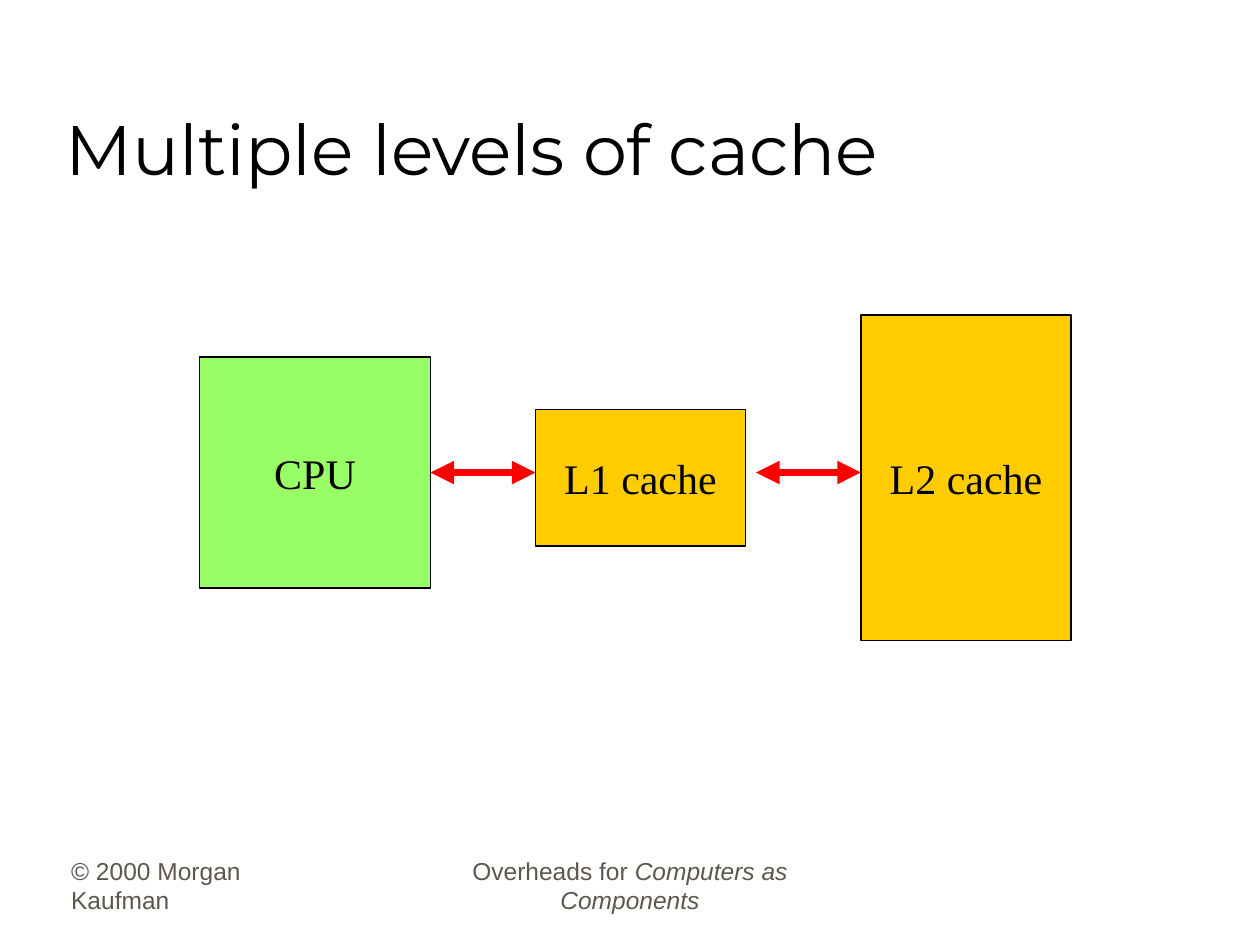
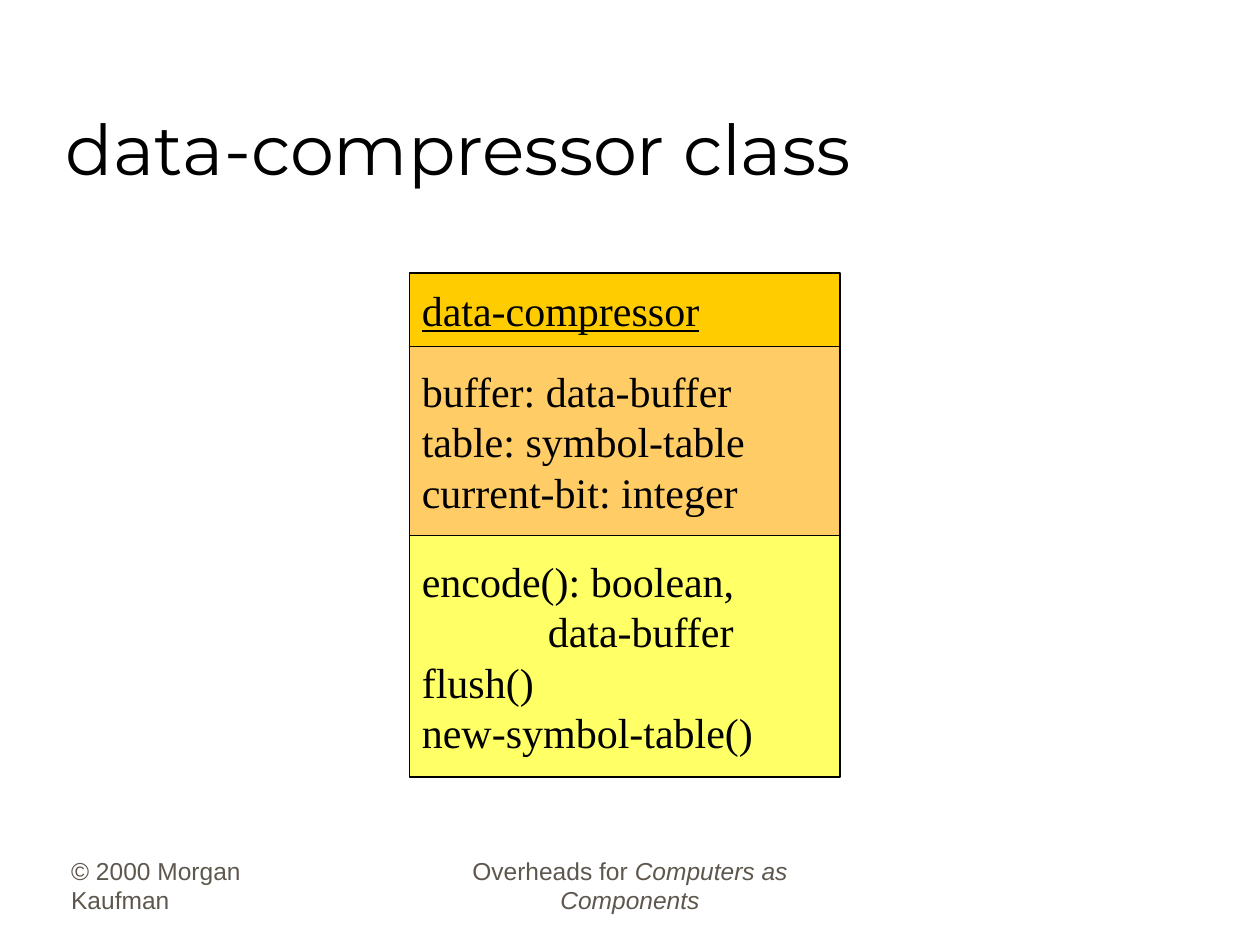
import pptx
import pptx.util
import pptx.dml.color
import pptx.enum.shapes
import pptx.enum.text
import pptx.oxml.ns
import lxml.etree

RGBColor = pptx.dml.color.RGBColor
BLACK = RGBColor(0x00, 0x00, 0x00)
FOOTER_GRAY = RGBColor(0x5E, 0x57, 0x4E)
GREEN = RGBColor(0x99, 0xFF, 0x66)
GOLD = RGBColor(0xFF, 0xCC, 0x00)
ORANGE = RGBColor(0xFF, 0xCC, 0x66)
YELLOW = RGBColor(0xFF, 0xFF, 0x66)
RED = RGBColor(0xFF, 0x00, 0x00)

LEFT = pptx.enum.text.PP_ALIGN.LEFT
CENTER = pptx.enum.text.PP_ALIGN.CENTER
BOTTOM = pptx.enum.text.MSO_ANCHOR.BOTTOM
MIDDLE = pptx.enum.text.MSO_ANCHOR.MIDDLE

SLIDE_WIDTH = pptx.util.Inches(10)
SLIDE_HEIGHT = pptx.util.Inches(7.5)
COLUMNS, ROWS = 120, 90

TITLE_AREA = (5.3, 3, 102, 15)
COPYRIGHT_AREA = (5.6, 81.7, 25, 6)
SOURCE_AREA = (41, 81.7, 38, 6)
DIAGRAM_AREA = (19, 30, 83, 31)
CLASS_AREA = (39, 26, 41, 48)


def grid(*cells):
    units = (SLIDE_WIDTH / COLUMNS, SLIDE_HEIGHT / ROWS)
    return [round(cell * units[index % 2]) for index, cell in enumerate(cells)]


def style_font(font, name, size, color):
    font.name = name
    font.size = pptx.util.Pt(size)
    font.color.rgb = color


def add_tab_stop(para, inches):
    tabs = lxml.etree.SubElement(para._p.get_or_add_pPr(), pptx.oxml.ns.qn("a:tabLst"))
    position = str(pptx.util.Inches(inches))
    lxml.etree.SubElement(tabs, pptx.oxml.ns.qn("a:tab"), pos=position, algn="l")


def add_label(page, area, parts, font_name, size, color, align=LEFT):
    box = page.shapes.add_textbox(*grid(*area))
    frame = box.text_frame
    frame.word_wrap = True
    frame.vertical_anchor = BOTTOM
    para = frame.paragraphs[0]
    para.alignment = align
    for text, italic in parts:
        span = para.add_run()
        span.text = text
        span.font.italic = italic
        style_font(span.font, font_name, size, color)
    return box


def add_block(page, area, lines, fill, align=CENTER, underline=False):
    box = page.shapes.add_shape(pptx.enum.shapes.MSO_SHAPE.RECTANGLE, *grid(*area))
    box.shadow.inherit = False
    box.fill.solid()
    box.fill.fore_color.rgb = fill
    box.line.color.rgb = BLACK
    box.line.width = pptx.util.Pt(0.75)
    frame = box.text_frame
    frame.word_wrap = True
    frame.vertical_anchor = MIDDLE
    frame.text = "\n".join(lines)
    for para in frame.paragraphs:
        para.alignment = align
        if para.text.startswith("\t"):
            add_tab_stop(para, 1)
        for span in para.runs:
            style_font(span.font, "Times New Roman", 24, BLACK)
            span.font.underline = underline
    return box


def add_double_arrow(page, start, end, row):
    kind = pptx.enum.shapes.MSO_CONNECTOR.STRAIGHT
    arrow = page.shapes.add_connector(kind, *grid(start, row, end, row))
    arrow.line.color.rgb = RED
    arrow.line.width = pptx.util.Pt(4.5)
    line = arrow.line._get_or_add_ln()
    for tag in ("a:headEnd", "a:tailEnd"):
        lxml.etree.SubElement(line, pptx.oxml.ns.qn(tag), type="triangle")
    lxml.etree.SubElement(arrow._element.spPr, pptx.oxml.ns.qn("a:effectLst"))
    return arrow


def add_page(deck, title):
    page = deck.slides.add_slide(deck.slide_layouts[6])
    add_label(page, COPYRIGHT_AREA, [("© 2000 Morgan Kaufman", False)],
              "Arial", 14, FOOTER_GRAY)
    add_label(page, SOURCE_AREA,
              [("Overheads for ", False), ("Computers as Components", True)],
              "Arial", 14, FOOTER_GRAY, CENTER)
    heading = add_label(page, TITLE_AREA, [(title, False)], "Montserrat", 40, BLACK)
    heading.text_frame.margin_left = pptx.util.Inches(0.08)
    heading.text_frame.margin_bottom = 0
    return page


def draw_cache_levels(page, area):
    left, top, width, height = area
    cache_width, gap = 20, 10
    cpu_size = 22
    arrow_row = top + 15
    l1_left = left + cpu_size + gap
    l2_left = left + width - cache_width
    cpu = add_block(page, (left, top + 4, cpu_size, cpu_size), ["CPU"], GREEN)
    add_block(page, (l1_left, top + 9, cache_width, 13), ["L1 cache"], GOLD)
    add_block(page, (l2_left, top, cache_width, height), ["L2 cache"], GOLD)
    cpu_arrow = add_double_arrow(page, l1_left - gap, l1_left, arrow_row)
    cpu_arrow.begin_connect(cpu, 3)
    add_double_arrow(page, l2_left - gap, l2_left, arrow_row)


def draw_class(page, area, compartments):
    left, top, width, height = area
    total = sum(rows for rows, *rest in compartments)
    for rows, fill, underline, lines in compartments:
        block_height = height * rows / total
        add_block(page, (left, top, width, block_height), lines, fill, LEFT, underline)
        top += block_height


def main():
    deck = pptx.Presentation()
    deck.slide_width = SLIDE_WIDTH
    deck.slide_height = SLIDE_HEIGHT
    draw_cache_levels(add_page(deck, "Multiple levels of cache"), DIAGRAM_AREA)
    draw_class(add_page(deck, "data-compressor class"), CLASS_AREA, [
        (7, GOLD, True, ["data-compressor"]),
        (18, ORANGE, False, ["buffer: data-buffer", "table: symbol-table",
                             "current-bit: integer"]),
        (23, YELLOW, False, ["encode(): boolean,", "\tdata-buffer", "flush()",
                             "new-symbol-table()"]),
    ])
    deck.save("out.pptx")


if __name__ == "__main__":
    main()
